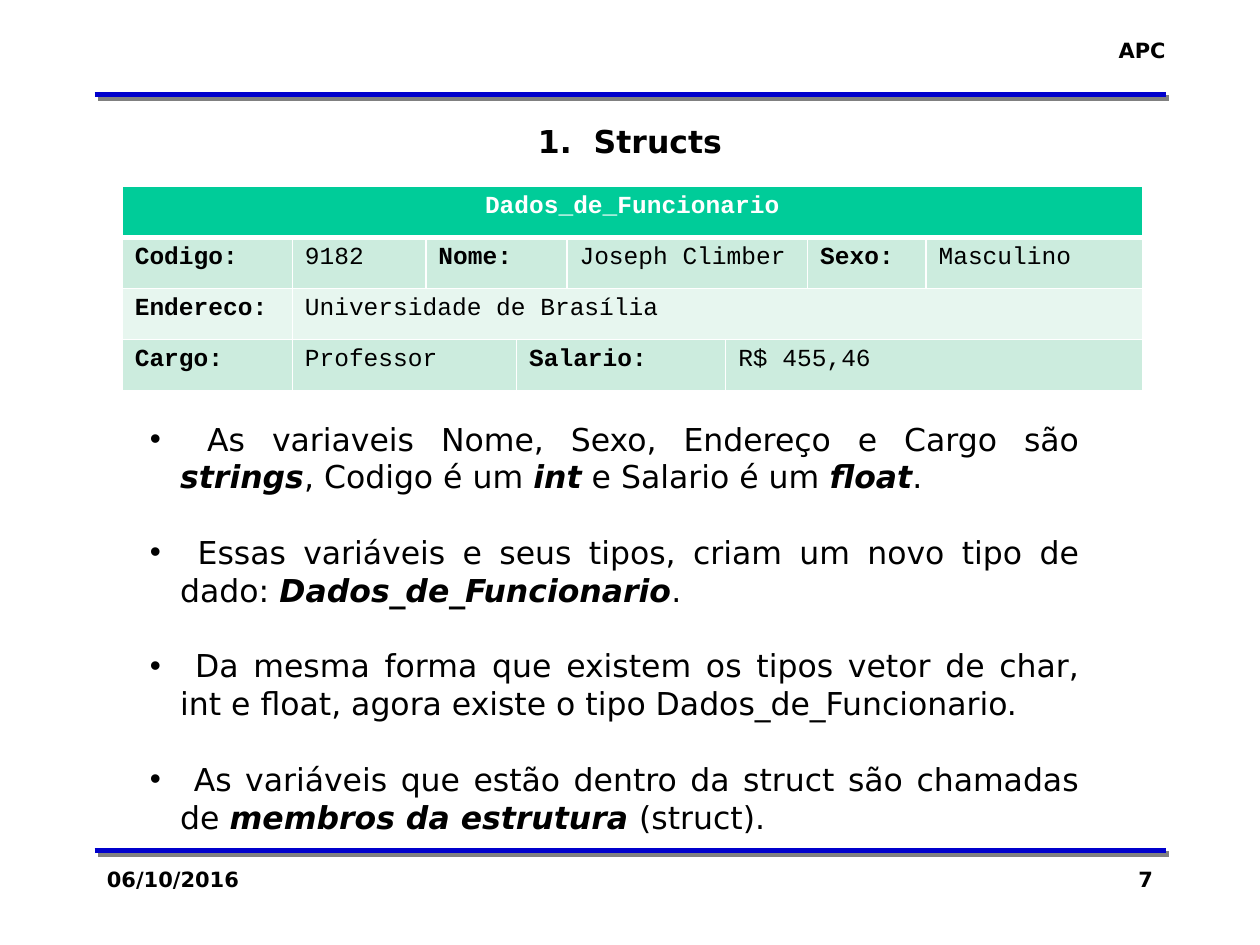
from lxml import etree
from pptx import Presentation
from pptx.dml.color import RGBColor
from pptx.enum.shapes import MSO_CONNECTOR
from pptx.enum.text import MSO_ANCHOR, MSO_AUTO_SIZE, PP_ALIGN
from pptx.oxml.ns import qn
from pptx.util import Inches, Pt

LEFT, MID, RIGHT, FULL = PP_ALIGN.LEFT, PP_ALIGN.CENTER, PP_ALIGN.RIGHT, PP_ALIGN.JUSTIFY
TOP = MSO_ANCHOR.TOP
FIXED = MSO_AUTO_SIZE.NONE
STRAIGHT = MSO_CONNECTOR.STRAIGHT
SANS, MONO = "DejaVu Sans", "Courier New"
COLORS = {
    "ink": "000000", "white": "FFFFFF", "rule": "0000CC", "shade": "808080",
    "head": "00CC99", "band": "CCECDE", "pale": "E7F6EF",
}

COLS = [1.35, 1.06, 0.72, 0.4, 1.26, 0.65, 0.94, 1.72]
ROW = 0.405
# Each row: fill, then (text, columns spanned)
ROWS = [
    ("head", [("Dados_de_Funcionario", 8)]),
    ("band", [("Codigo:", 1), ("9182", 1), ("Nome:", 2), ("Joseph Climber", 2),
              ("Sexo:", 1), ("Masculino", 1)]),
    ("pale", [("Endereco:", 1), ("Universidade de Brasília", 7)]),
    ("band", [("Cargo:", 1), ("Professor", 2), ("Salario:", 2), ("R$ 455,46", 3)]),
]
# Every second piece of a point is bold italic
POINTS = [
    [" As variaveis Nome, Sexo, Endereço e Cargo são ", "strings",
     ", Codigo é um ", "int", " e Salario é um ", "float", "."],
    [" Essas variáveis e seus tipos, criam um novo tipo de dado: ",
     "Dados_de_Funcionario", "."],
    [" Da mesma forma que existem os tipos vetor de char, int e float, "
     "agora existe o tipo Dados_de_Funcionario."],
    [" As variáveis que estão dentro da struct são chamadas de ",
     "membros da estrutura ", "(struct)."],
]


def rgb(name):
    return RGBColor.from_string(COLORS[name])


def style(font, size, bold=False, color="ink", face=SANS):
    font.name, font.size, font.bold = face, Pt(size), bold
    font.color.rgb = rgb(color)


def place(shape, left, top, width, height):
    shape.left, shape.top = Inches(left), Inches(top)
    shape.width, shape.height = Inches(width), Inches(height)
    frame = shape.text_frame
    frame.word_wrap, frame.auto_size = True, FIXED
    frame.vertical_anchor = TOP
    return frame


def write(frame, text, align, size):
    frame.text = text
    para = frame.paragraphs[0]
    para.alignment = align
    style(para.runs[0].font, size, True)


def add_label(slide, text, box, align):
    shape = slide.shapes.add_textbox(0, 0, 0, 0)
    write(place(shape, *box), text, align, 12)


def add_rule(slide, top):
    line = slide.shapes.add_connector(
        STRAIGHT, Inches(0.75), Inches(top), Inches(9.25), Inches(top))
    line.line.color.rgb = rgb("rule")
    line.line.width = Pt(3)
    effects = etree.SubElement(line._element.spPr, qn("a:effectLst"))
    shadow = etree.SubElement(effects, qn("a:outerShdw"), dist=str(Pt(2.8)),
                              dir="2700000", algn="ctr", rotWithShape="0")
    etree.SubElement(shadow, qn("a:srgbClr"), val=COLORS["shade"])


def add_edges(cell, base):
    props = cell._tc.get_or_add_tcPr()
    for side, width in zip("LRTB", (1, 1, 1, base)):
        edge = etree.SubElement(props, qn("a:ln" + side), w=str(Pt(width)))
        fill = etree.SubElement(edge, qn("a:solidFill"))
        etree.SubElement(fill, qn("a:srgbClr"), val=COLORS["white"])


def fill_cell(cell, text, head, bold):
    cell.text = text
    para = cell.text_frame.paragraphs[0]
    para.alignment = MID if head else LEFT
    style(para.runs[0].font, 14, bold, "white" if head else "ink", MONO)


def add_record(slide):
    table = slide.shapes.add_table(
        len(ROWS), len(COLS), Inches(0.97), Inches(1.48),
        Inches(sum(COLS)), Inches(ROW * len(ROWS))).table
    for col, width in zip(table.columns, COLS):
        col.width = Inches(width)
    for r, (fill, cells) in enumerate(ROWS):
        table.rows[r].height = Inches(ROW)
        head = fill == "head"
        for c in range(len(COLS)):
            cell = table.cell(r, c)
            add_edges(cell, 3 if head else 1)
            cell.fill.solid()
            cell.fill.fore_color.rgb = rgb(fill)
        start = 0
        for i, (text, span) in enumerate(cells):
            cell = table.cell(r, start)
            if span > 1:
                cell.merge(table.cell(r, start + span - 1))
            # Field names alternate with their values
            fill_cell(cell, text, head, i % 2 == 0)
            start += span


def add_points(frame):
    for i, parts in enumerate(POINTS):
        para = frame.add_paragraph() if i else frame.paragraphs[0]
        para.alignment = FULL
        para.line_spacing = Pt(21.6)
        para.space_before = Pt(21.6 if i else 0)
        props = para._p.get_or_add_pPr()
        props.set("marL", str(Inches(0.24)))
        props.set("indent", str(Inches(-0.24)))
        etree.SubElement(props, qn("a:buFont"), typeface="Arial")
        etree.SubElement(props, qn("a:buChar"), char="•")
        for j, text in enumerate(parts):
            run = para.add_run()
            run.text = text
            strong = j % 2 == 1
            style(run.font, 18, strong)
            run.font.italic = strong


def main():
    prs = Presentation()
    prs.slide_width, prs.slide_height = Inches(10), Inches(7.5)
    slide = prs.slides.add_slide(prs.slide_layouts[1])
    title, body = slide.placeholders

    # Header and footer
    for top in (0.75, 6.75):
        add_rule(slide, top)
    add_label(slide, "APC", (8.35, 0.25, 1, 0.3), RIGHT)
    add_label(slide, "06/10/2016", (0.75, 6.83, 2.08, 0.5), LEFT)
    add_label(slide, "7", (7.17, 6.83, 2.08, 0.5), RIGHT)

    # Title, record table and points
    write(place(title, 0.75, 0.92, 8.5, 0.4), "1.  Structs", MID, 18)
    add_record(slide)
    add_points(place(body, 1.09, 3.28, 7.58, 3.75))
    prs.save("out.pptx")


if __name__ == "__main__":
    main()
